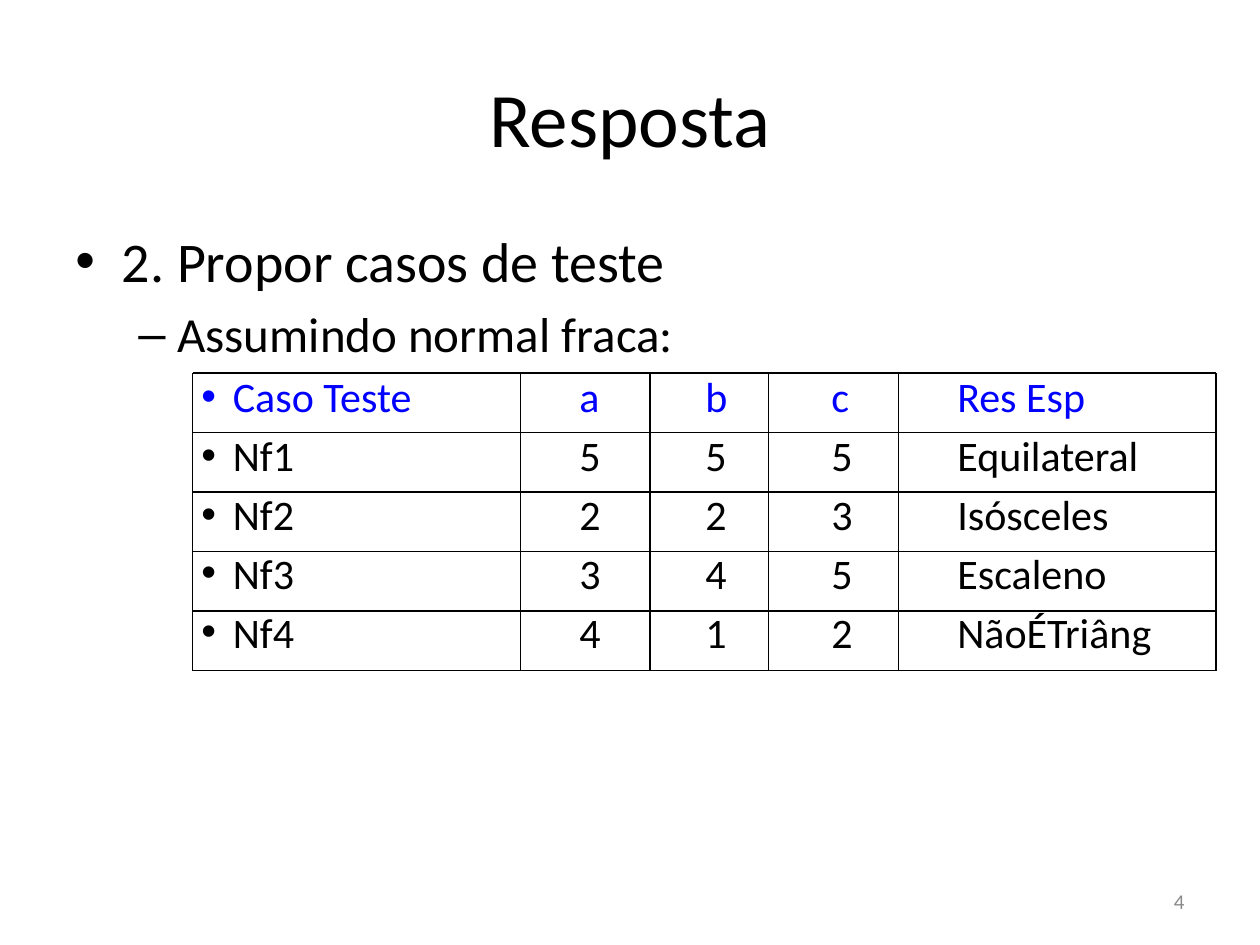
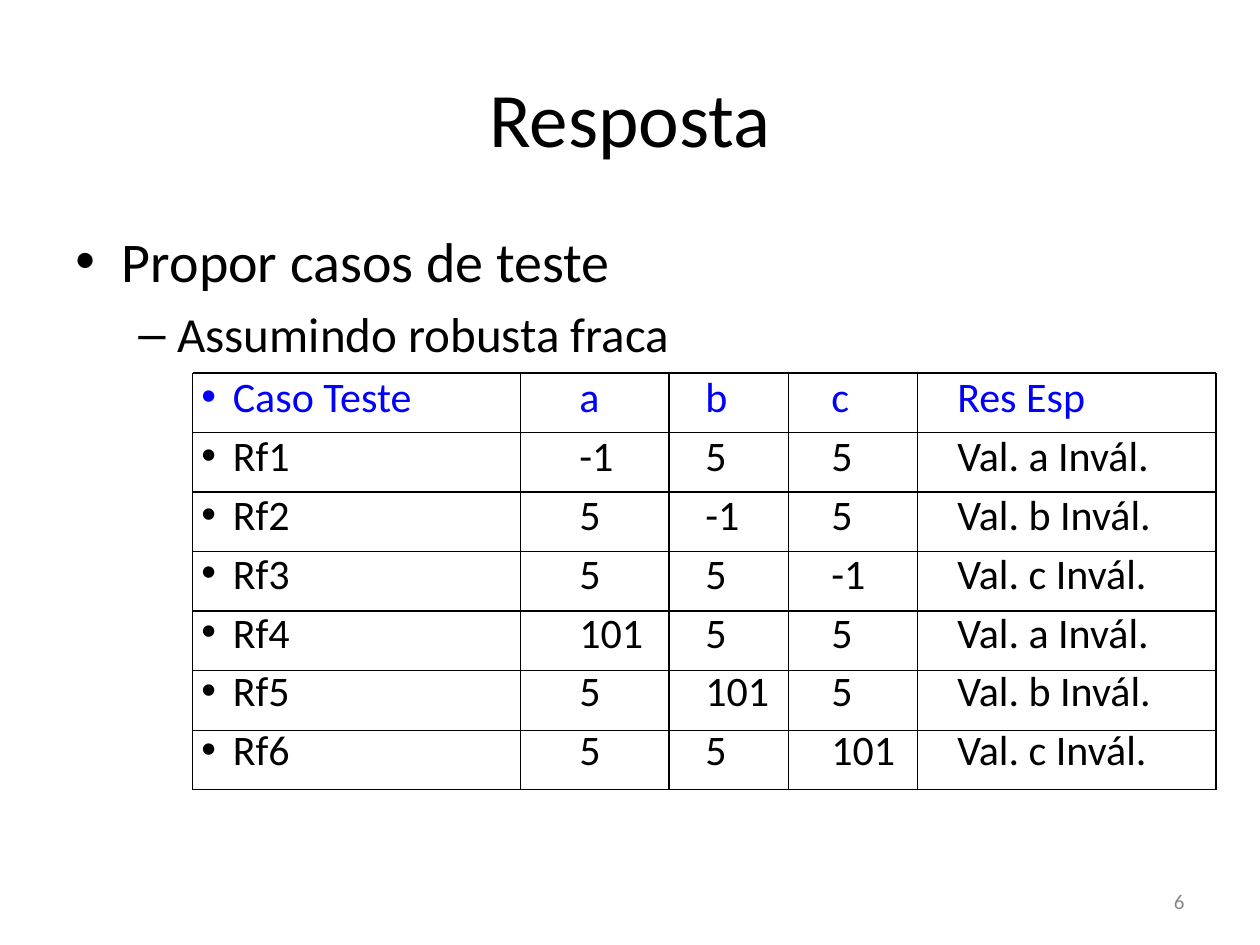
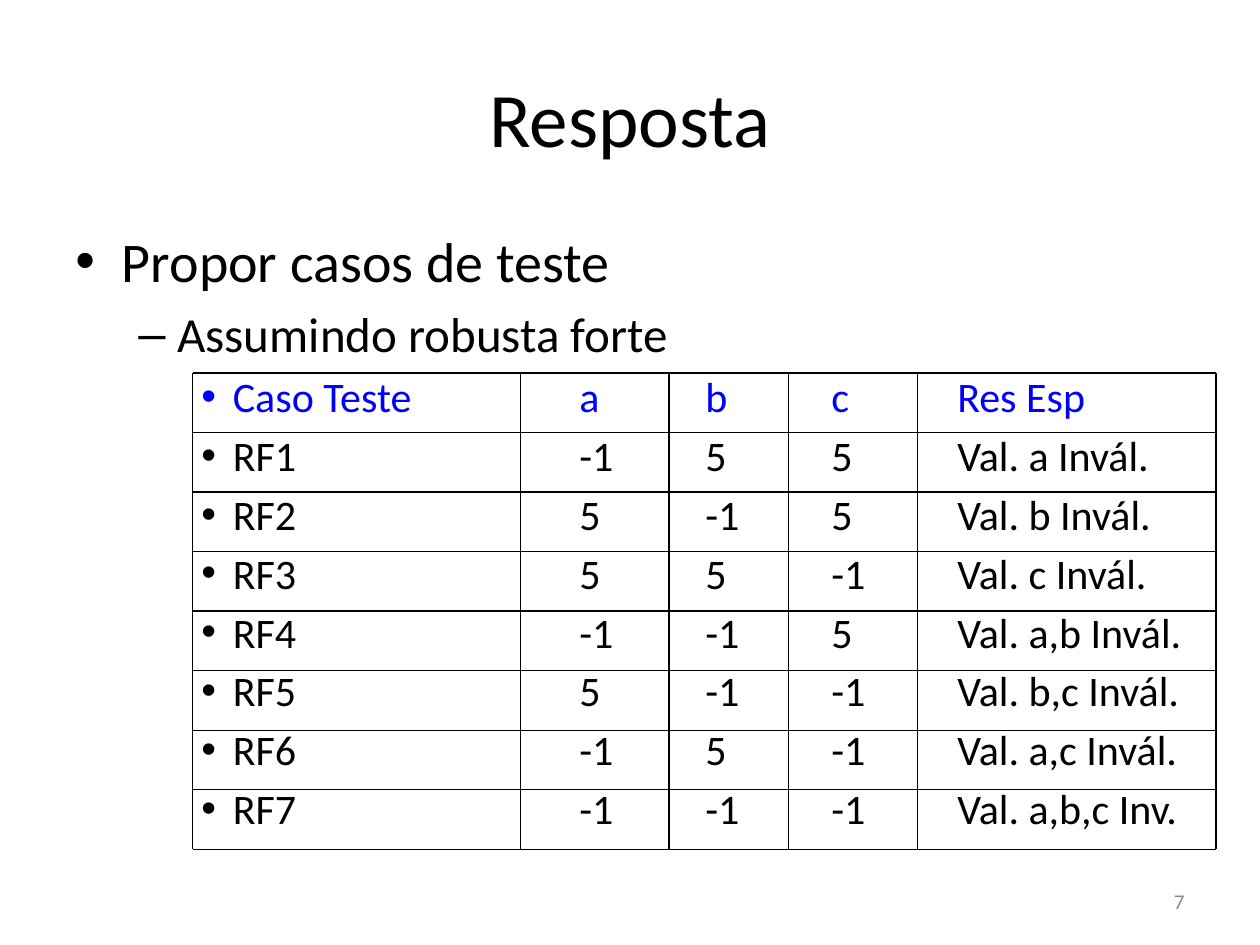
from lxml.etree import SubElement
from pptx import Presentation
from pptx.dml.color import RGBColor
from pptx.enum.shapes import MSO_CONNECTOR as Connector
from pptx.enum.text import MSO_ANCHOR as Anchor, PP_ALIGN as Align
from pptx.oxml.ns import qn
from pptx.util import Inches, Pt

# Content: the tabs carry each value to its column
TITLE = "Resposta"
HEADER = "Caso Teste\t\ta\tb\tc\tRes Esp"
SLIDES = [
    {
        "number": "4",
        "topic": "2. Propor casos de teste",
        "assumption": "Assumindo normal fraca:",
        "body_size": (9, 4.95),
        "edges": (1.53, 4.13, 5.16, 6.1, 7.13, 9.65),
        "cases": [
            ("Nf1", "5", "5", "5", "Equilateral"),
            ("Nf2", "2", "2", "3", "Isósceles"),
            ("Nf3", "3", "4", "5", "Escaleno"),
            ("Nf4", "4", "1", "2", "NãoÉTriâng"),
        ],
    },
    {
        "number": "6",
        "topic": "Propor casos de teste",
        "assumption": "Assumindo robusta fraca",
        "body_size": (9, 4.95),
        "edges": (1.53, 4.13, 5.31, 6.26, 7.28, 9.65),
        "cases": [
            ("Rf1", "-1", "5", "5", "Val. a Invál."),
            ("Rf2", "5", "-1", "5", "Val. b Invál."),
            ("Rf3", "5", "5", "-1", "Val. c Invál."),
            ("Rf4", "101", "5", "5", "Val. a Invál."),
            ("Rf5", "5", "101", "5", "Val. b Invál."),
            ("Rf6", "5", "5", "101", "Val. c Invál."),
        ],
    },
    {
        "number": "7",
        "topic": "Propor casos de teste",
        "assumption": "Assumindo robusta forte",
        "body_size": (9.3, 5.23),
        "edges": (1.53, 4.13, 5.31, 6.26, 7.28, 9.65),
        "cases": [
            ("RF1", "-1", "5", "5", "Val. a Invál."),
            ("RF2", "5", "-1", "5", "Val. b Invál."),
            ("RF3", "5", "5", "-1", "Val. c Invál."),
            ("RF4", "-1", "-1", "5", "Val. a,b Invál."),
            ("RF5", "5", "-1", "-1", "Val. b,c Invál."),
            ("RF6", "-1", "5", "-1", "Val. a,c Invál."),
            ("RF7", "-1", "-1", "-1", "Val. a,b,c Inv."),
        ],
    },
]

# Shared style
FONT = "Calibri"
BLACK, BLUE, GRAY = "000000", "0000FF", "898989"
GRID_TOP = 2.96
ROW_HEIGHT = (6.74 - GRID_TOP) / 8
# Outline levels: size, bullet, left indent, hanging
LEVELS = [
    (32, "•", 0.37, 0.37),
    (28, "–", 0.81, 0.31),
    (24, "•", 1.25, 0.25),
]


def color(value):
    return RGBColor.from_string(value)


def format_paragraph(paragraph, size, font_color=BLACK):
    for run in paragraph.runs:
        run.font.name = FONT
        run.font.size = Pt(size)
        run.font.color.rgb = color(font_color)


def format_level(paragraph, level, font_color=BLACK):
    size, character, left, hanging = LEVELS[level]
    format_paragraph(paragraph, size, font_color)
    paragraph.level = level
    properties = paragraph._p.get_or_add_pPr()
    properties.set("marL", str(Inches(left)))
    properties.set("indent", str(-Inches(hanging)))
    properties.set("defTabSz", str(Inches(1)))
    spacing = SubElement(properties, qn("a:spcBef"))
    SubElement(spacing, qn("a:spcPct"), val="20000")
    SubElement(properties, qn("a:buFont"), typeface="Arial")
    SubElement(properties, qn("a:buChar"), char=character)


def add_text_box(slide, left, top, width, height):
    box = slide.shapes.add_textbox(*map(Inches, (left, top, width, height)))
    box.text_frame.word_wrap = True
    return box.text_frame


def add_title(slide):
    title = slide.shapes.title
    title.left, title.top, title.width, title.height = map(Inches, (0.5, 0.3, 9, 1.25))
    title.text_frame.text = TITLE
    title.text_frame.vertical_anchor = Anchor.MIDDLE
    title.text_frame.paragraphs[0].alignment = Align.CENTER
    format_paragraph(title.text_frame.paragraphs[0], 44)


def add_page_number(slide, number):
    frame = add_text_box(slide, 7.17, 6.95, 2.33, 0.4)
    frame.text = number
    frame.vertical_anchor = Anchor.MIDDLE
    frame.paragraphs[0].alignment = Align.RIGHT
    format_paragraph(frame.paragraphs[0], 12, GRAY)


def add_body(slide, content):
    frame = add_text_box(slide, 0.5, 1.75, *content["body_size"])
    cases = [f"{name}\t\t\t" + "\t".join(values) for name, *values in content["cases"]]
    frame.text = "\n".join([content["topic"], content["assumption"], HEADER, *cases])
    for index, paragraph in enumerate(frame.paragraphs):
        format_level(paragraph, min(index, 2), BLUE if index == 2 else BLACK)


def add_line(slide, x1, y1, x2, y2):
    line = slide.shapes.add_connector(
        Connector.STRAIGHT, *map(Inches, (x1, y1, x2, y2)))
    line.line.color.rgb = color(BLACK)
    line.line.width = Pt(0.75)
    SubElement(line._element.spPr, qn("a:effectLst"))


def add_grid(slide, edges, row_count):
    for row in range(row_count + 1):
        y = GRID_TOP + row * ROW_HEIGHT
        add_line(slide, edges[0], y, edges[-1], y)
    for x in edges:
        add_line(slide, x, GRID_TOP, x, GRID_TOP + row_count * ROW_HEIGHT)


def main():
    presentation = Presentation()
    presentation.slide_width, presentation.slide_height = Inches(10), Inches(7.5)
    for content in SLIDES:
        slide = presentation.slides.add_slide(presentation.slide_layouts[5])
        add_title(slide)
        add_page_number(slide, content["number"])
        add_body(slide, content)
        add_grid(slide, content["edges"], len(content["cases"]) + 1)
    presentation.save("out.pptx")


if __name__ == "__main__":
    main()
